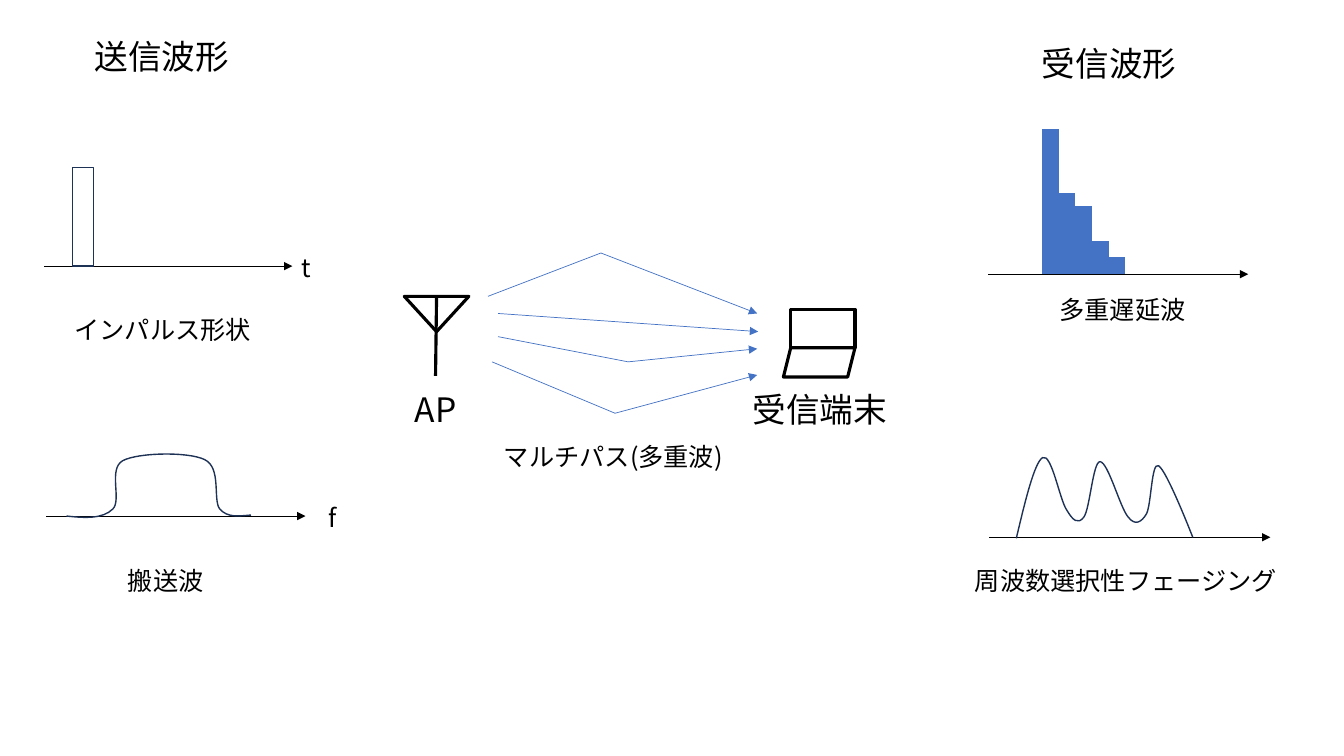
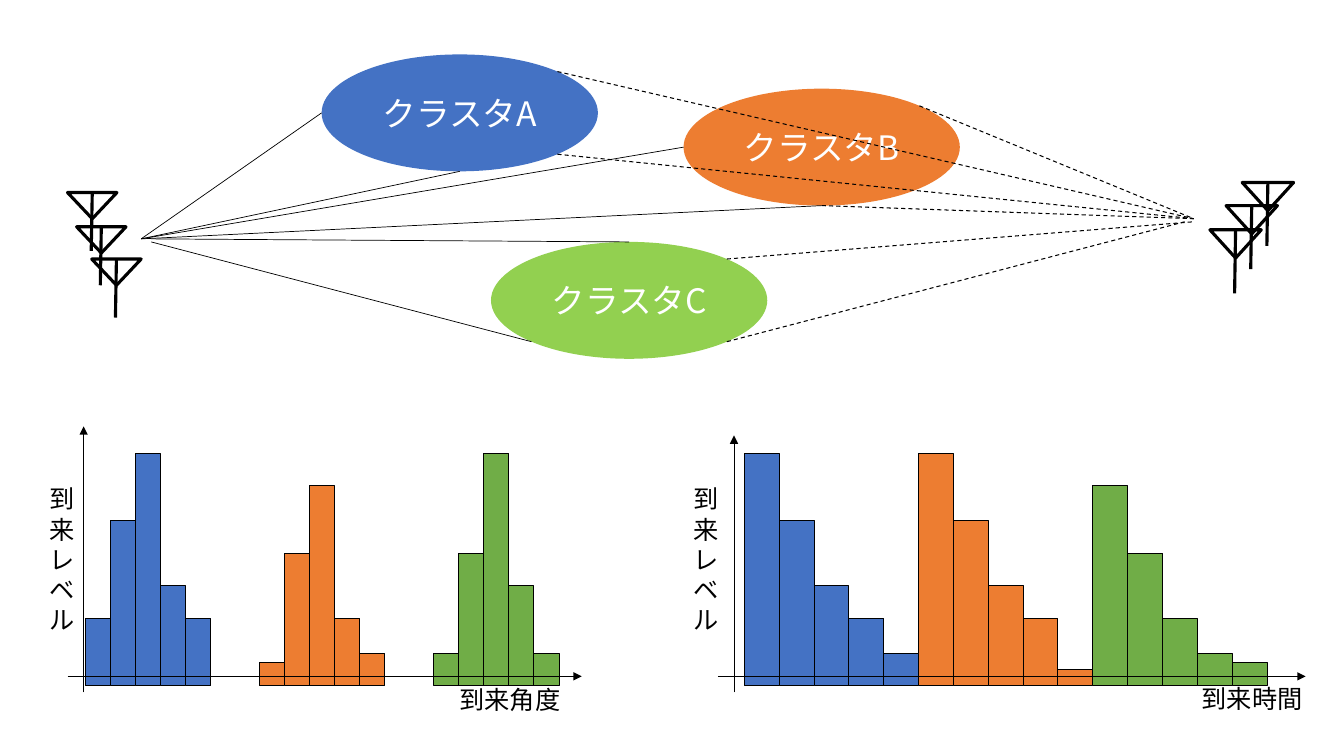
"""Build two slides on multipath propagation and clustered arrival of radio waves."""
from math import cos, radians, sin

from lxml.etree import SubElement
from pptx import Presentation
from pptx.chart.data import CategoryChartData
from pptx.dml.color import RGBColor
from pptx.enum.chart import XL_CHART_TYPE
from pptx.enum.dml import MSO_LINE
from pptx.enum.shapes import MSO_CONNECTOR, MSO_SHAPE
from pptx.enum.text import MSO_ANCHOR, MSO_AUTO_SIZE, PP_ALIGN
from pptx.oxml import parse_xml
from pptx.oxml.ns import nsdecls, qn
from pptx.util import Inches, Pt

FONT = "Noto Sans CJK JP"
BLACK = RGBColor(0x00, 0x00, 0x00)
WHITE = RGBColor(0xFF, 0xFF, 0xFF)
BLUE = RGBColor(0x44, 0x72, 0xC4)
ORANGE = RGBColor(0xED, 0x7D, 0x31)
GREEN = RGBColor(0x70, 0xAD, 0x47)
LIME = RGBColor(0x92, 0xD0, 0x50)
NAVY = RGBColor(0x1E, 0x32, 0x56)

LEFT, CENTER = PP_ALIGN.LEFT, PP_ALIGN.CENTER

MULTIPATH_LABELS = [
    ("AP", 3.92, 3.81, 0.8, 0.5, 24, CENTER),
    ("受信端末", 7.12, 3.81, 2.02, 0.5, 24, CENTER),
    ("送信波形", 0.84, 0.31, 1.66, 0.5, 24, LEFT),
    ("受信波形", 10.02, 0.38, 1.96, 0.5, 24, CENTER),
    ("インパルス形状", 0.64, 3.07, 2.12, 0.4, 18, LEFT),
    ("t", 2.89, 2.45, 0.27, 0.4, 18, LEFT),
    ("搬送波", 1.17, 5.56, 0.99, 0.4, 18, LEFT),
    ("f", 3.16, 4.93, 0.33, 0.4, 18, LEFT),
    ("周波数選択性フェージング", 9.57, 5.56, 3.39, 0.4, 18, LEFT),
    ("多重遅延波", 10.41, 2.87, 1.54, 0.4, 18, LEFT),
    ("マルチパス(多重波)", 4.9, 4.33, 2.41, 0.4, 18, LEFT),
]
MULTIPATH_RAYS = [
    [(4.94, 3.11), (7.52, 3.29)],
    [(4.84, 2.94), (5.96, 2.51), (7.51, 3.11)],
    [(4.94, 3.34), (6.23, 3.59), (7.51, 3.46)],
    [(4.88, 3.59), (6.1, 4.1), (7.51, 3.72)],
]
MULTIPATH_AXES = [
    [(0.44, 2.64), (2.9, 2.64)],
    [(0.46, 5.12), (3.03, 5.12)],
    [(9.8, 2.72), (12.38, 2.72)],
    [(9.81, 5.33), (12.6, 5.33)],
]
CARRIER_CURVE = [
    (0.66, 5.12), (0.84, 5.14), (1.02, 5.15), (1.12, 5.05),
    (1.21, 4.96), (1.07, 4.65), (1.22, 4.57),
    (1.37, 4.49), (1.87, 4.48), (2.03, 4.56),
    (2.2, 4.64), (2.11, 4.96), (2.18, 5.05),
    (2.26, 5.14), (2.37, 5.12), (2.49, 5.11),
]
FADING_CURVE = [
    (10.08, 5.34), (10.17, 4.96), (10.26, 4.59), (10.34, 4.54),
    (10.43, 4.49), (10.51, 4.96), (10.58, 5.06),
    (10.64, 5.16), (10.69, 5.21), (10.75, 5.13),
    (10.81, 5.05), (10.84, 4.58), (10.91, 4.58),
    (10.99, 4.58), (11.11, 5.04), (11.19, 5.13),
    (11.26, 5.22), (11.32, 5.18), (11.37, 5.1),
    (11.42, 5.01), (11.42, 4.58), (11.49, 4.62),
    (11.57, 4.66), (11.83, 5.33), (11.83, 5.33),
]
DELAY_LEVELS = [[100], [56], [47], [23], [12]]

CLUSTER_SIZE = (2.74, 1.16)
SENDER, RECEIVER = (1.4, 2.37), (11.84, 2.17)
CLUSTERS = [
    {"name": "クラスタA", "at": (3.19, 0.54), "color": BLUE,
     "sent": [(180, SENDER), (90, SENDER)],
     "received": [(-45, RECEIVER), (45, RECEIVER)]},
    {"name": "クラスタB", "at": (6.78, 0.88), "color": ORANGE,
     "sent": [(180, SENDER), (90, SENDER)],
     "received": [(-45, RECEIVER), (90, RECEIVER)]},
    {"name": "クラスタC", "at": (4.87, 2.4), "color": LIME,
     "sent": [(-90, (1.5, 2.37)), (135, (1.5, 2.4))],
     "received": [(-45, (11.84, 2.2)), (45, (11.75, 2.2))]},
]
SENDER_ANTENNAS = [(0.67, 1.91), (0.76, 2.25), (0.91, 2.57)]
RECEIVER_ANTENNAS = [(12.32, 1.81), (12.16, 2.04), (12, 2.28)]

ARRIVAL_COLORS = [BLUE, ORANGE, GREEN]
ARRIVAL_PLOT = (0.019, 0.14, 0.962, 0.84)
ARRIVAL_CHARTS = [
    {"at": (0.5, 4.11, 5.39, 2.75), "gap": 195,
     "levels": [[29, 10, 14], [71, 57, 57], [100, 86, 100], [43, 29, 43], [29, 14, 14]],
     "axes": [[(0.67, 6.71), (5.77, 6.71)], [(0.83, 6.87), (0.83, 4.23)]],
     "labels": [("到来角度", 4.46, 6.74, 1.4, 0.4, 18, LEFT),
                ("到来レベル", 0.39, 4.75, 0.33, 1.62, 18, LEFT)]},
    {"at": (7.28, 4.11, 5.39, 2.75), "gap": 0,
     "levels": [[100, 100, 86], [71, 71, 57], [43, 43, 29], [29, 29, 14], [14, 7, 10]],
     "axes": [[(7.12, 6.71), (12.95, 6.71)], [(7.28, 6.87), (7.28, 4.32)]],
     "labels": [("到来時間", 11.82, 6.73, 1.4, 0.4, 18, LEFT),
                ("到来レベル", 6.78, 4.75, 0.33, 1.62, 18, LEFT)]},
]


def write_text(shape, text, size, color, alignment):
    frame = shape.text_frame
    frame.word_wrap = True
    paragraph = frame.paragraphs[0]
    paragraph.text = text
    paragraph.alignment = alignment
    for run in paragraph.runs:
        run.font.size = Pt(size)
        run.font.color.rgb = color
        run.font.name = FONT
        SubElement(run.font._element, qn("a:ea"), typeface=FONT)


def add_label(slide, text, left, top, width, height, size, alignment):
    box = slide.shapes.add_textbox(*map(Inches, (left, top, width, height)))
    write_text(box, text, size, BLACK, alignment)
    box.text_frame.auto_size = MSO_AUTO_SIZE.SHAPE_TO_FIT_TEXT


def set_outline(shape, color, weight):
    shape.shadow.inherit = False
    shape.fill.background()
    shape.line.color.rgb = color
    shape.line.width = Pt(weight)


def add_outlined(shapes, kind, at, color=BLACK, weight=2.25):
    shape = shapes.add_shape(kind, *map(Inches, at))
    set_outline(shape, color, weight)
    return shape


def add_line(shapes, start, end, color=BLACK, weight=0.5, arrow=False, dashed=False):
    connector = shapes.add_connector(MSO_CONNECTOR.STRAIGHT, *map(Inches, (*start, *end)))
    connector.line.color.rgb = color
    connector.line.width = Pt(weight)
    if dashed:
        connector.line.dash_style = MSO_LINE.DASH
    properties = connector._element.spPr
    if arrow:
        SubElement(properties.find(qn("a:ln")), qn("a:tailEnd"), type="triangle")
    SubElement(properties, qn("a:effectLst"))


def add_arrow_path(slide, points, color=BLACK):
    last = len(points) - 2
    for index, (start, end) in enumerate(zip(points, points[1:])):
        add_line(slide.shapes, start, end, color, arrow=index == last)


def add_antenna(slide, left, top, width, cone, mast):
    group = slide.shapes.add_group_shape()
    triangle = add_outlined(group.shapes, MSO_SHAPE.ISOSCELES_TRIANGLE, (left, top, width, cone))
    triangle.rotation = 180
    middle = left + width / 2
    add_line(group.shapes, (middle, top), (middle - 0.01, top + mast), weight=2.25)


def add_curve(slide, points):
    builder = slide.shapes.build_freeform(*map(Inches, points[0]))
    builder.add_line_segments([tuple(map(Inches, point)) for point in points[1:]], close=False)
    shape = builder.convert_to_shape()
    set_outline(shape, NAVY, 1)
    segments = list(shape._element.iter(qn("a:lnTo")))
    outline = segments[0].getparent()
    for index in range(0, len(segments), 3):
        bezier = SubElement(outline, qn("a:cubicBezTo"))
        for segment in segments[index:index + 3]:
            bezier.append(segment[0])
            outline.remove(segment)


def paint_columns(column, color, outlined):
    column.fill.solid()
    column.fill.fore_color.rgb = color
    if outlined:
        column.line.color.rgb = BLACK
        column.line.width = Pt(0.75)


def add_columns(slide, at, levels, colors, gap, plot_area, outlined):
    data = CategoryChartData()
    data.categories = [str(number + 1) for number in range(len(colors))]
    for number, values in enumerate(levels, 1):
        data.add_series(f"Series {number}", values)
    chart = slide.shapes.add_chart(
        XL_CHART_TYPE.COLUMN_CLUSTERED, *map(Inches, at), data).chart
    chart.has_legend = chart.has_title = False
    chart.font.name = FONT
    chart.font.size = Pt(10)
    chart.font.color.rgb = BLACK
    chart.value_axis.has_major_gridlines = False
    chart.value_axis.minimum_scale = 0
    chart.value_axis.maximum_scale = 100
    chart.value_axis.visible = chart.category_axis.visible = False
    plot = chart.plots[0]
    plot.gap_width = gap
    plot.vary_by_categories = False
    for series in plot.series:
        paint_columns(series.format, colors[0], outlined)
        for index, color in enumerate(colors[1:], 1):
            paint_columns(series.points[index].format, color, outlined)
    area = chart._chartSpace.chart.plotArea
    for layout in area.findall(qn("c:layout")):
        area.remove(layout)
    sizes = "".join(f'<c:{name} val="{value}"/>' for name, value in zip("xywh", plot_area))
    area.insert(0, parse_xml(
        f'<c:layout {nsdecls("c")}><c:manualLayout><c:layoutTarget val="inner"/>'
        f'<c:xMode val="edge"/><c:yMode val="edge"/>{sizes}</c:manualLayout></c:layout>'))


def add_cluster(slide, cluster):
    ellipse = slide.shapes.add_shape(
        MSO_SHAPE.OVAL, *map(Inches, (*cluster["at"], *CLUSTER_SIZE)))
    ellipse.shadow.inherit = False
    ellipse.fill.solid()
    ellipse.fill.fore_color.rgb = cluster["color"]
    ellipse.line.fill.background()
    ellipse.text_frame.vertical_anchor = MSO_ANCHOR.MIDDLE
    write_text(ellipse, cluster["name"], 24, WHITE, CENTER)


def edge_point(cluster, degrees):
    (left, top), (width, height) = cluster["at"], CLUSTER_SIZE
    angle = radians(degrees)
    return left + width / 2 * (1 + cos(angle)), top + height / 2 * (1 + sin(angle))


def build_multipath_slide(slide):
    laptop = slide.shapes.add_group_shape()
    add_outlined(laptop.shapes, MSO_SHAPE.RECTANGLE, (7.84, 3.07, 0.64, 0.38))
    add_outlined(laptop.shapes, MSO_SHAPE.PARALLELOGRAM, (7.77, 3.45, 0.71, 0.29))
    add_antenna(slide, 4.01, 2.94, 0.64, 0.35, 0.79)
    for ray in MULTIPATH_RAYS:
        add_arrow_path(slide, ray, BLUE)
    add_columns(slide, (9.92, 0.94, 1.75, 1.81), DELAY_LEVELS, [BLUE], 500,
                (0, 0.19, 0.946, 0.796), outlined=False)
    for axis in MULTIPATH_AXES:
        add_arrow_path(slide, axis)
    add_outlined(slide.shapes, MSO_SHAPE.RECTANGLE, (0.72, 1.66, 0.21, 0.98), NAVY, 1)
    add_curve(slide, CARRIER_CURVE)
    add_curve(slide, FADING_CURVE)
    for label in MULTIPATH_LABELS:
        add_label(slide, *label)


def build_cluster_slide(slide):
    for cluster in CLUSTERS:
        add_cluster(slide, cluster)
    for left, top in SENDER_ANTENNAS:
        add_antenna(slide, left, top, 0.49, 0.26, 0.58)
    for left, top in RECEIVER_ANTENNAS:
        add_antenna(slide, left, top, 0.51, 0.28, 0.63)
    for cluster in CLUSTERS:
        for degrees, origin in cluster["sent"]:
            add_line(slide.shapes, origin, edge_point(cluster, degrees))
        for degrees, target in cluster["received"]:
            add_line(slide.shapes, edge_point(cluster, degrees), target,
                     weight=0.75, dashed=True)
    for arrival in ARRIVAL_CHARTS:
        add_columns(slide, arrival["at"], arrival["levels"], ARRIVAL_COLORS,
                    arrival["gap"], ARRIVAL_PLOT, outlined=True)
        for axis in arrival["axes"]:
            add_arrow_path(slide, axis)
        for label in arrival["labels"]:
            add_label(slide, *label)


def main():
    presentation = Presentation()
    presentation.slide_width = Inches(13.33)
    presentation.slide_height = Inches(7.5)
    for build in (build_multipath_slide, build_cluster_slide):
        build(presentation.slides.add_slide(presentation.slide_layouts[6]))
    presentation.save("out.pptx")


if __name__ == "__main__":
    main()
